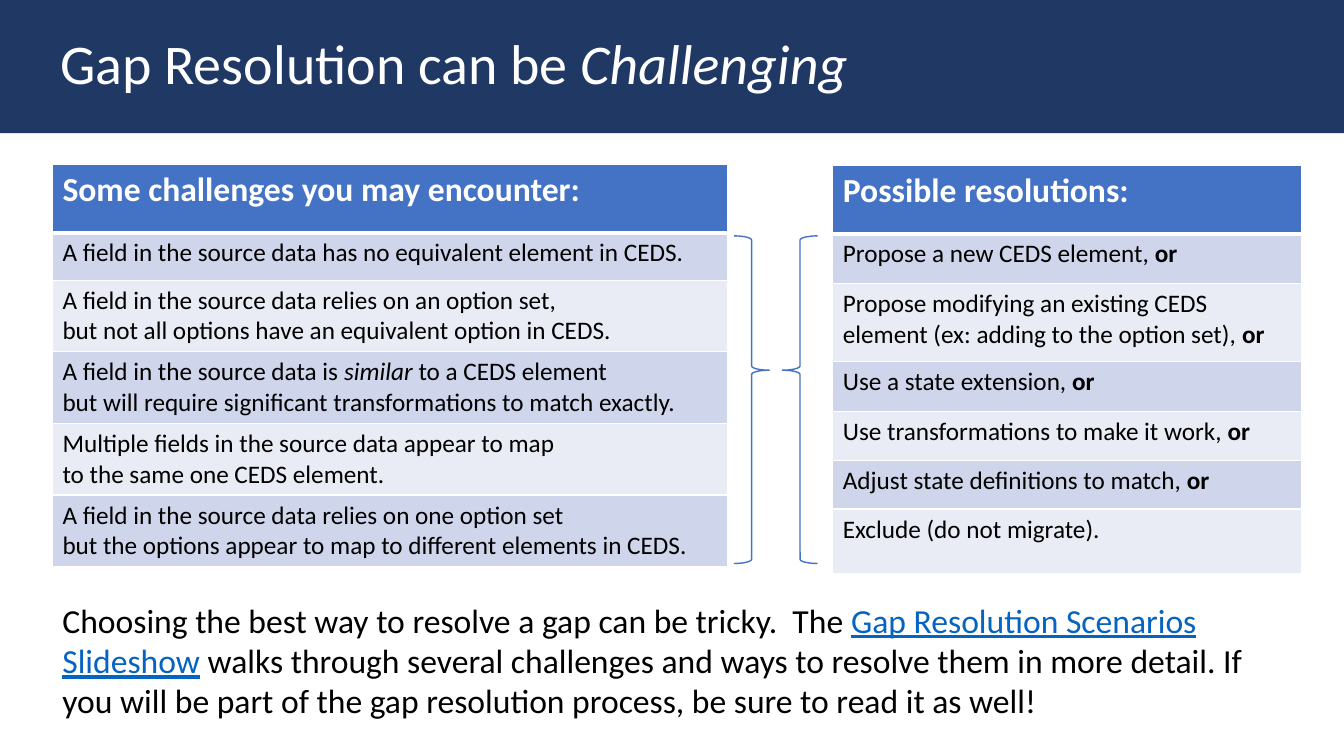
import pptx
import pptx.util
import pptx.dml.color
import pptx.enum.shapes
import pptx.enum.text
import pptx.oxml
import pptx.oxml.ns
import lxml.etree

Inches = pptx.util.Inches
NAVY, BLUE, WHITE, BLACK, LINK = "203864", "4472C4", "FFFFFF", "000000", "0563C1"
BANDS = ("CFD5EA", "E9EBF5")
BOLD, ITALIC = {"bold": True}, {"italic": True}
OR = ("or", BOLD)

CHALLENGES = [
    [["A field in the source data has no equivalent element in CEDS."]],
    [["A field in the source data relies on an option set,"],
     ["but not all options have an equivalent option in CEDS."]],
    [["A field in the source data is ", ("similar", ITALIC), " to a CEDS element"],
     ["but will require significant transformations to match exactly."]],
    [["Multiple fields in the source data appear to map"],
     ["to the same one CEDS element."]],
    [["A field in the source data relies on one option set"],
     ["but the options appear to map to different elements in CEDS."]],
]
RESOLUTIONS = [
    [["Propose a new CEDS element, ", OR]],
    [["Propose modifying an existing CEDS element (ex: adding to the option set), ", OR]],
    [["Use a state extension, ", OR]],
    [["Use transformations to make it work, ", OR]],
    [["Adjust state definitions to match, ", OR]],
    [["Exclude (do not migrate)."]],
]
CLOSING = [[
    "Choosing the best way to resolve a gap can be tricky.  The ",
    ("Gap Resolution Scenarios Slideshow", {"color": LINK, "underline": True}),
    " walks through several challenges and ways to resolve them in more detail. "
    "If you will be part of the gap resolution process, be sure to read it as well!",
]]


def color_of(value):
    return pptx.dml.color.RGBColor.from_string(value)


def write_lines(para, lines, size, color, **base):
    for number, line in enumerate(lines):
        if number:
            para.add_line_break()
        for piece in line:
            text, extra = (piece, {}) if isinstance(piece, str) else piece
            look = {"name": "Calibri", "size": pptx.util.Pt(size), "color": color,
                    "bold": False, **base, **extra}
            span = para.add_run()
            span.text = text
            span.font.color.rgb = color_of(look.pop("color"))
            for key, value in look.items():
                setattr(span.font, key, value)


def add_borders(cell, bottom_width):
    properties = cell._tc.get_or_add_tcPr()
    for side in "LRTB":
        width = bottom_width if side == "B" else 1
        line = lxml.etree.SubElement(properties, pptx.oxml.ns.qn("a:ln" + side),
                                     w=str(pptx.util.Pt(width)))
        fill = lxml.etree.SubElement(line, pptx.oxml.ns.qn("a:solidFill"))
        lxml.etree.SubElement(fill, pptx.oxml.ns.qn("a:srgbClr"), val=WHITE)


def add_title(page, left, top, width, height):
    title = page.shapes.title
    layout = {"left": left, "top": top, "width": width, "height": height}
    for key, value in layout.items():
        setattr(title, key, Inches(value))
    title.fill.solid()
    title.fill.fore_color.rgb = color_of(NAVY)
    frame_format = {"margin_left": Inches(0.6), "word_wrap": True,
                    "auto_size": pptx.enum.text.MSO_AUTO_SIZE.NONE,
                    "vertical_anchor": pptx.enum.text.MSO_ANCHOR.MIDDLE}
    for key, value in frame_format.items():
        setattr(title.text_frame, key, value)
    para = title.text_frame.paragraphs[0]
    para.alignment = pptx.enum.text.PP_ALIGN.LEFT
    para.line_spacing = 0.9
    write_lines(para, [["Gap Resolution can be ", ("Challenging", ITALIC)]], 40, WHITE)


def add_list_table(page, left, top, width, heading, entries, heights):
    rows = [[[heading]]] + entries
    table = page.shapes.add_table(len(rows), 1, Inches(left), Inches(top),
                                  Inches(width), Inches(sum(heights))).table
    for number, (lines, height) in enumerate(zip(rows, heights)):
        is_heading = number == 0
        table.rows[number].height = Inches(height)
        cell = table.cell(number, 0)
        add_borders(cell, 3 if is_heading else 1)
        cell.fill.solid()
        cell.fill.fore_color.rgb = color_of(BLUE if is_heading else BANDS[(number - 1) % 2])
        size, color = (24, WHITE) if is_heading else (18, BLACK)
        write_lines(cell.text_frame.paragraphs[0], lines, size, color, bold=is_heading)


def add_braces(page, left, top, width, height):
    brace_width = 0.35
    for offset, flipped in ((0, True), (width - brace_width, False)):
        brace = page.shapes.add_shape(
            pptx.enum.shapes.MSO_SHAPE.LEFT_BRACE, Inches(left + offset), Inches(top),
            Inches(brace_width), Inches(height))
        brace.adjustments[0], brace.adjustments[1] = 0.12, 0.41
        brace.shadow.inherit = False
        brace.fill.background()
        brace.line.color.rgb = color_of(BLUE)
        brace.line.width = pptx.util.Pt(1)
        if flipped:
            brace._element.spPr.xfrm.set("flipH", "1")


def add_closing(page, left, top, width, height):
    box = page.shapes.add_textbox(Inches(left), Inches(top), Inches(width), Inches(height))
    box.text_frame.word_wrap = True
    write_lines(box.text_frame.paragraphs[0], CLOSING, 24, BLACK)


def main():
    deck = pptx.Presentation()
    deck.slide_width, deck.slide_height = Inches(13.33), Inches(7.5)
    page = deck.slides.add_slide(deck.slide_layouts[5])
    add_title(page, 0, -0.01, 13.34, 1.33)
    add_list_table(page, 0.52, 1.63, 6.7, "Some challenges you may encounter:",
                   CHALLENGES, [0.68, 0.47] + [0.71] * 4)
    add_braces(page, 7.28, 2.34, 0.83, 3.25)
    add_list_table(page, 8.26, 1.64, 4.65, "Possible resolutions:",
                   RESOLUTIONS, [0.68, 0.49, 0.78, 0.49, 0.49, 0.48, 0.64])
    add_closing(page, 0.52, 5.9, 12.19, 1.31)
    deck.save("out.pptx")


if __name__ == "__main__":
    main()
